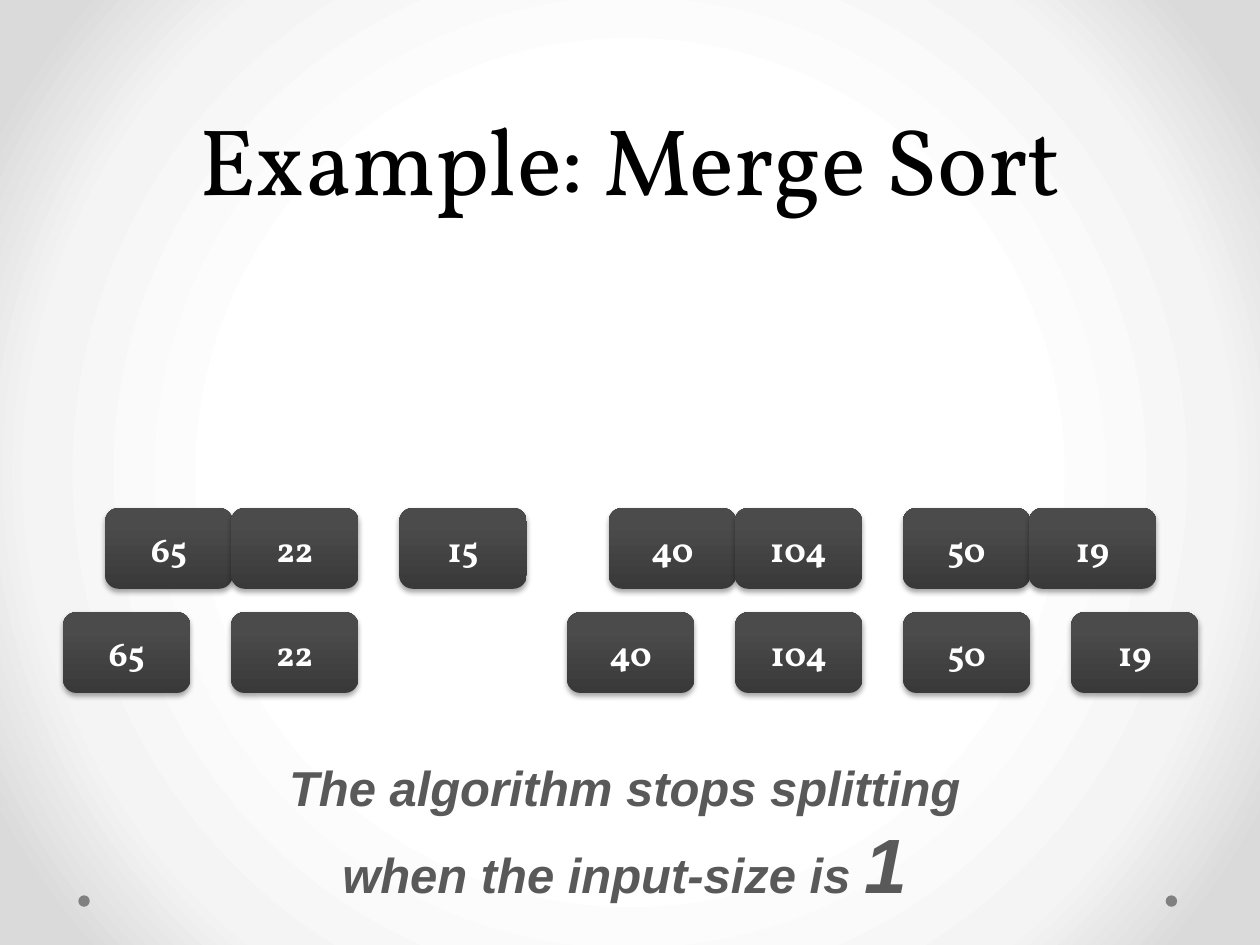
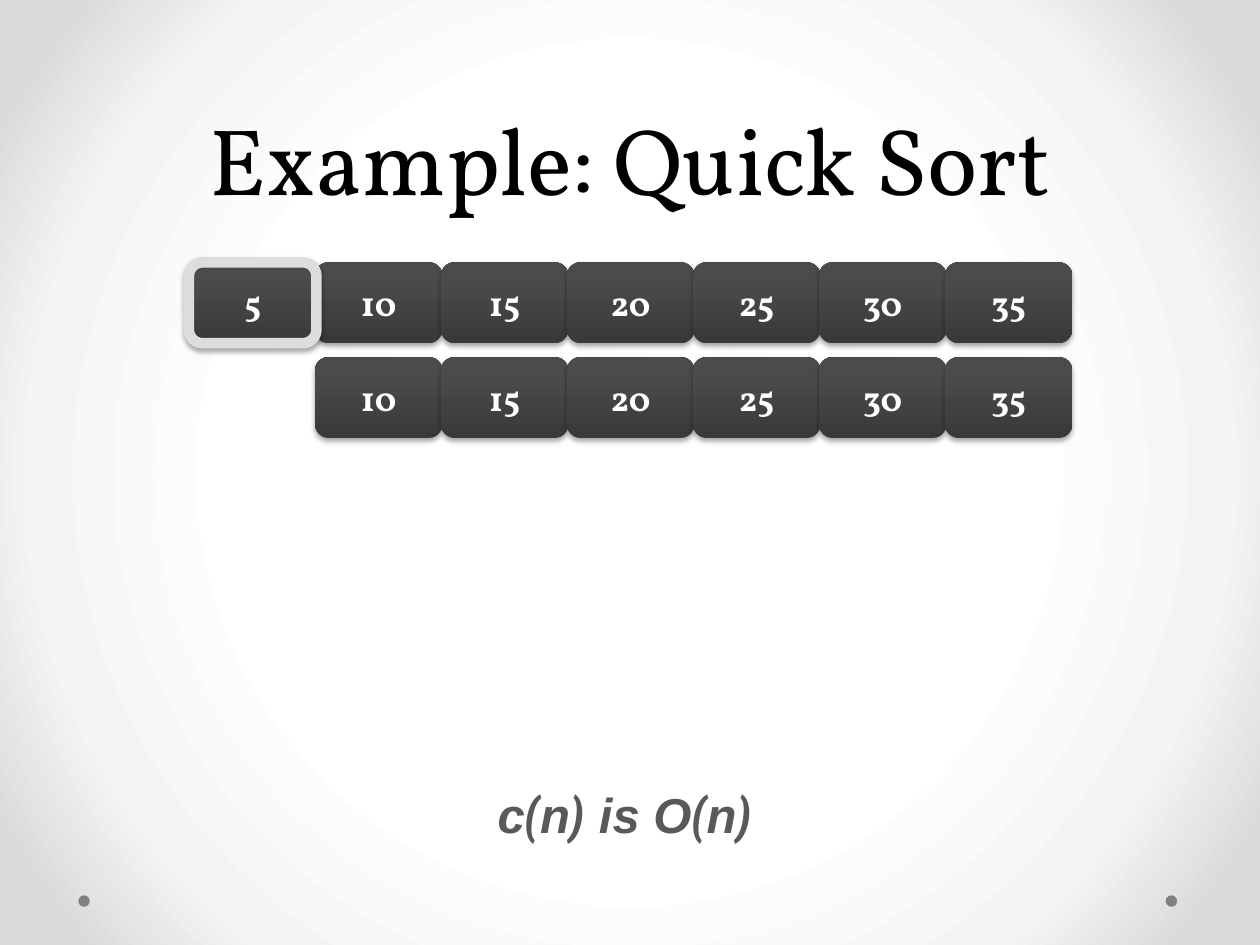
from dataclasses import dataclass

from pptx import Presentation
from pptx.dml.color import RGBColor
from pptx.enum.shapes import MSO_SHAPE
from pptx.enum.text import MSO_ANCHOR, PP_ALIGN
from pptx.oxml import parse_xml
from pptx.oxml.ns import nsdecls, qn
from pptx.util import Cm, Pt


@dataclass(frozen=True)
class Theme:
    black: str = "000000"
    white: str = "FFFFFF"
    text: str = "595959"
    dot: str = "808080"
    dark: str = "393939"
    light: str = "4B4B4B"
    ring: str = "DDDDDD"
    glow: tuple = ((50, "FFFFFF"), (76, "F4F4F4"), (92, "DADADA"))
    serif: str = "Vollkorn"
    sans: str = "Arial"
    paren: str = "Roboto Condensed"
    head: int = 54
    lead: int = 58
    note: int = 28
    big: int = 44
    num: int = 20


T = Theme()
WIDE, HIGH = 2.57, 1.63  # tile size in cm
STEP = 2.54              # pitch of touching tiles
SPLIT = 3.387            # pitch of separate tiles


def color(code):
    return RGBColor.from_string(code)


def style(font, name, size, code):
    font.name, font.size = name, Pt(size)
    font.color.rgb = color(code)


# Shared background, title and dots
def paint(master):
    master.background.fill.gradient()
    old = master.element.find(".//" + qn("a:gradFill"))
    stops = "".join(
        f'<a:gs pos="{pos * 1000}"><a:srgbClr val="{code}"/></a:gs>'
        for pos, code in T.glow)
    new = parse_xml(
        f'<a:gradFill {nsdecls("a")} rotWithShape="1"><a:gsLst>{stops}</a:gsLst>'
        '<a:path path="circle"><a:fillToRect l="50000" t="50000" r="50000" b="50000"/>'
        '</a:path></a:gradFill>')
    old.getparent().replace(old, new)


def add_text(slide, left, top, width, height):
    box = slide.shapes.add_textbox(Cm(left), Cm(top), Cm(width), Cm(height))
    box.text_frame.word_wrap = True
    para = box.text_frame.paragraphs[0]
    para.alignment = PP_ALIGN.CENTER
    return box.text_frame, para


def add_page(deck, title):
    slide = deck.slides.add_slide(deck.slide_layouts[6])
    for left in (23.5, 1.58):
        dot = slide.shapes.add_shape(
            MSO_SHAPE.OVAL, Cm(left), Cm(18.05), Cm(0.23), Cm(0.23))
        dot.shadow.inherit = False
        dot.fill.solid()
        dot.fill.fore_color.rgb = color(T.dot)
        dot.line.fill.background()
    frame, para = add_text(slide, 1.27, 0, 22.86, 4.45)
    frame.vertical_anchor = MSO_ANCHOR.BOTTOM
    para.text = title
    para.line_spacing = Pt(T.lead)
    style(para.font, T.serif, T.head, T.black)
    return slide


# Number tiles
def add_shade(shape):
    shape.shadow.inherit = False
    shape.element.spPr.find(qn("a:effectLst")).append(parse_xml(
        f'<a:outerShdw {nsdecls("a")} blurRad="40000" dist="23000" dir="5400000"'
        f' rotWithShape="0"><a:srgbClr val="{T.black}"><a:alpha val="35000"/>'
        '</a:srgbClr></a:outerShdw>'))


def add_tile(slide, value, left, top, ring=False):
    tile = slide.shapes.add_shape(
        MSO_SHAPE.ROUNDED_RECTANGLE, Cm(left), Cm(top), Cm(WIDE), Cm(HIGH))
    tile.fill.gradient()
    tile.fill.gradient_angle = 90
    shades = ((0, T.dark), (0.8, T.light))
    for stop, (pos, code) in zip(tile.fill.gradient_stops, shades):
        stop.position = pos
        stop.color.rgb = color(code)
    if ring:
        tile.line.color.rgb = color(T.ring)
        tile.line.width = Pt(6)
    else:
        tile.line.fill.background()
    add_shade(tile)
    tile.text_frame.vertical_anchor = MSO_ANCHOR.MIDDLE
    para = tile.text_frame.paragraphs[0]
    para.text = str(value)
    para.alignment = PP_ALIGN.CENTER
    para.font.bold = True
    style(para.font, T.serif, T.num, T.white)


def add_row(slide, values, left, top, step=STEP):
    for i, value in enumerate(values):
        if value is not None:
            add_tile(slide, value, left + i * step, top)


# Closing remark, as (text, font, size) runs
def add_note(slide, top, height, runs):
    para = add_text(slide, 5.51, top, 14.17, height)[1]
    para.font.bold = para.font.italic = True
    for text, name, size in runs:
        run = para.add_run()
        run.text = text
        run.font.bold = run.font.italic = True
        style(run.font, name, size, T.text)


def add_merge(deck):
    slide = add_page(deck, "Example: Merge Sort")
    pairs = ((2.12, (65, 22)), (8.05, (15,)), (12.27, (40, 104)), (18.2, (50, 19)))
    for left, values in pairs:
        add_row(slide, values, left, 10.24)
    add_row(slide, (65, 22, None, 40, 104, 50, 19), 1.27, 12.34, SPLIT)
    add_note(slide, 15.14, 3.33, (
        ("The algorithm stops splitting when the input-size is ", T.sans, T.note),
        ("1", T.sans, T.big)))


def add_quick(deck):
    slide = add_page(deck, "Example: Quick Sort")
    rest = range(10, 36, 5)
    for top in (5.29, 7.2):
        add_row(slide, rest, 6.35, top)
    add_tile(slide, 5, 3.81, 5.29, ring=True)
    parts = ("c", "(", "n", ")", " is O", "(", "n", ")")
    add_note(slide, 15.7, 1.45, [
        (part, T.paren if part in "()" else T.sans, T.note) for part in parts])


def main():
    deck = Presentation()
    deck.slide_width, deck.slide_height = Cm(25.4), Cm(19.05)
    paint(deck.slide_master)
    add_merge(deck)
    add_quick(deck)
    deck.save("out.pptx")


if __name__ == "__main__":
    main()
